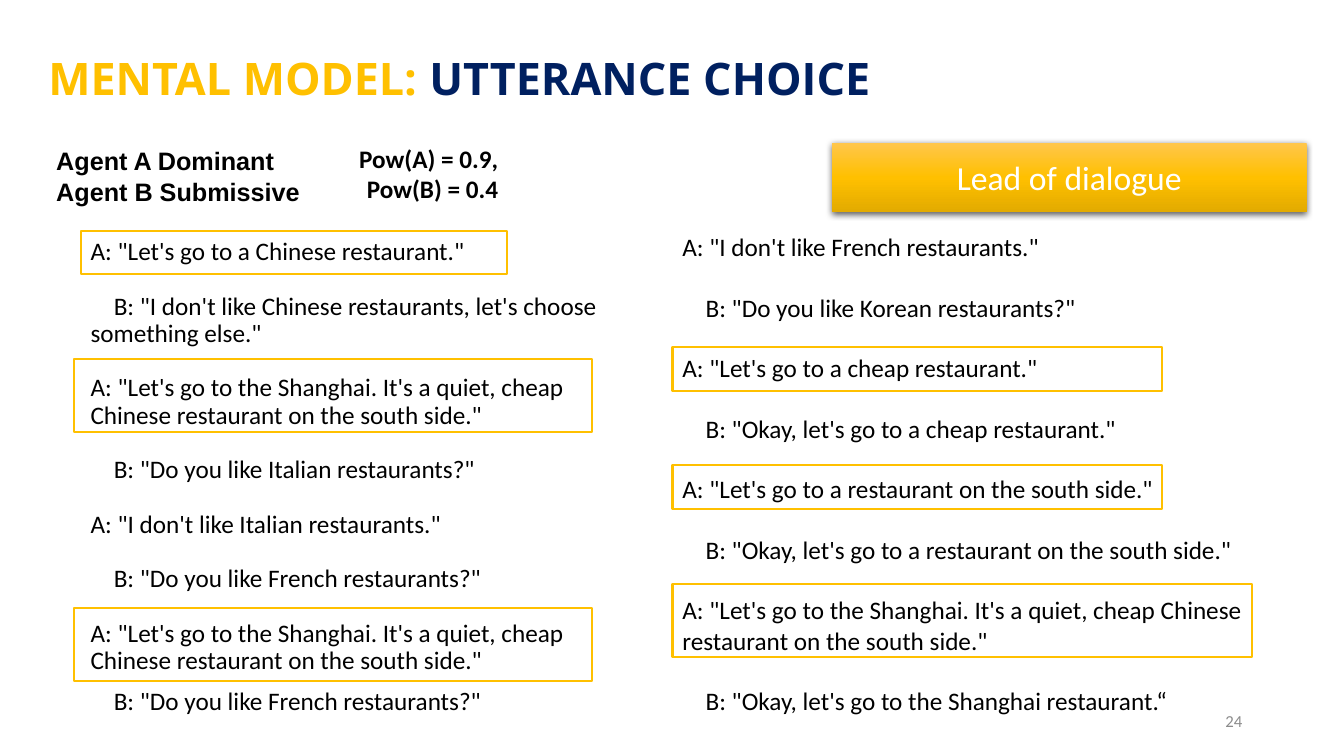
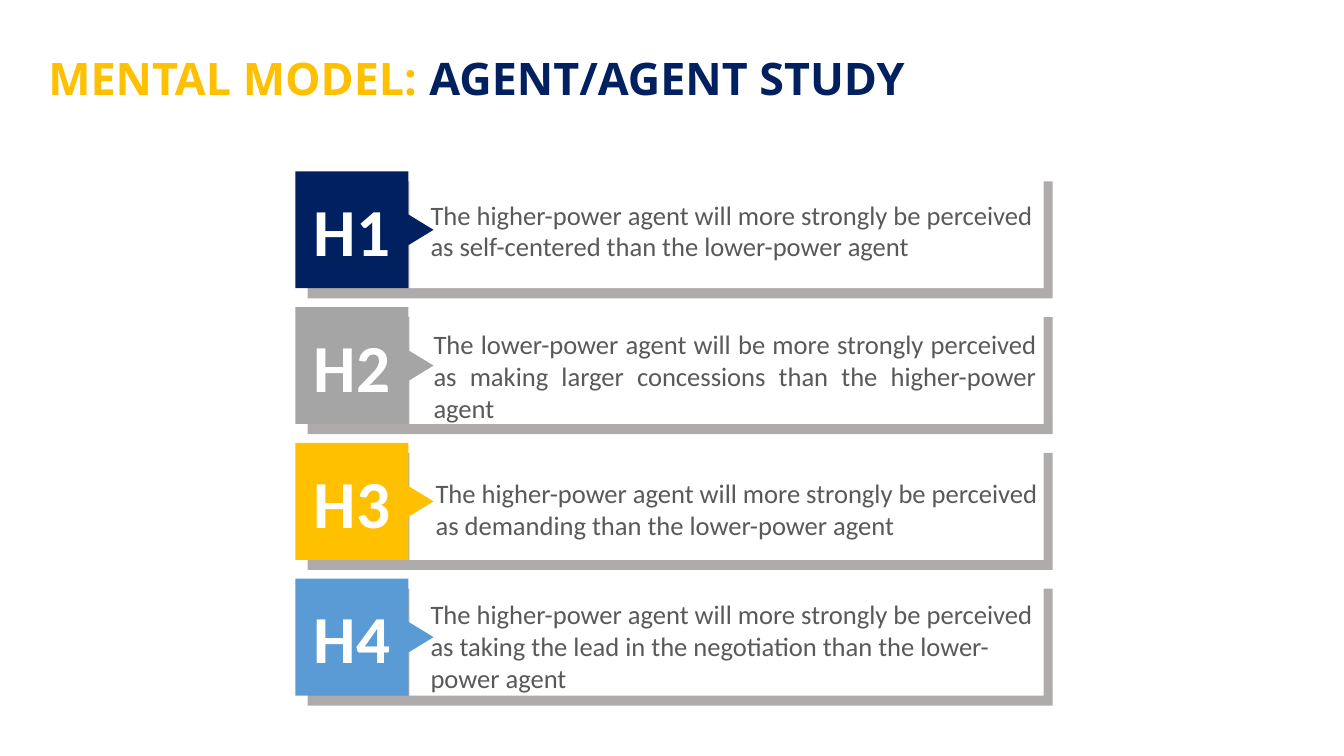
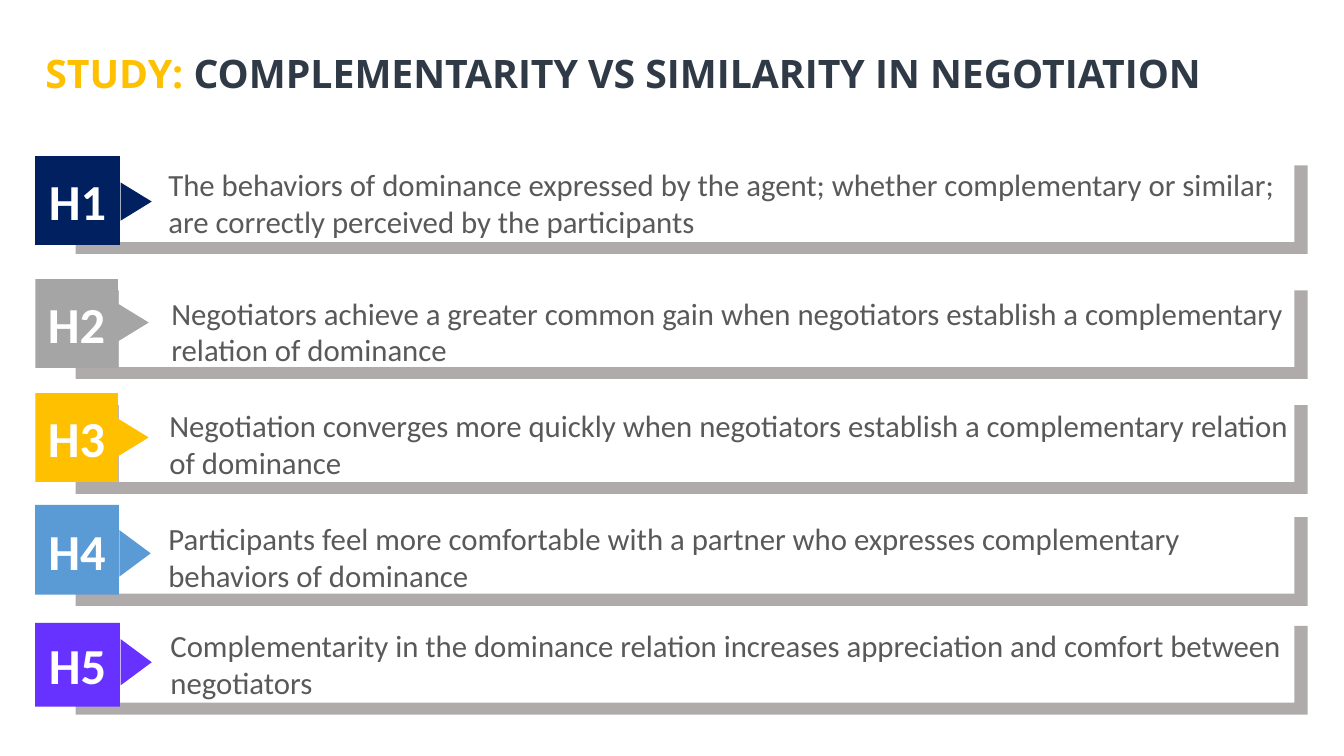
import copy

import pptx
import pptx.chart.data
import pptx.dml.color
import pptx.enum.shapes
import pptx.enum.text
import pptx.oxml
import pptx.oxml.ns
import pptx.util

Inches = pptx.util.Inches
Pt = pptx.util.Pt
RGBColor = pptx.dml.color.RGBColor
Align = pptx.enum.text.PP_ALIGN
Anchor = pptx.enum.text.MSO_ANCHOR
Shape = pptx.enum.shapes.MSO_SHAPE
qn = pptx.oxml.ns.qn

GOLD = RGBColor(0xFF, 0xC0, 0x00)
LIGHT_GOLD = RGBColor(0xFF, 0xC6, 0x4B)
DARK_GOLD = RGBColor(0xE3, 0xAB, 0x00)
NAVY = RGBColor(0x00, 0x20, 0x60)
SLATE = RGBColor(0x2F, 0x3A, 0x46)
GRAY = RGBColor(0xA5, 0xA5, 0xA5)
SHADE = RGBColor(0xAF, 0xAB, 0xAB)
BLUE = RGBColor(0x5B, 0x9B, 0xD5)
PURPLE = RGBColor(0x67, 0x31, 0xFF)
BODY_GRAY = RGBColor(0x59, 0x59, 0x59)
PAGE_GRAY = RGBColor(0x8C, 0x8C, 0x8C)
BLACK = RGBColor(0x00, 0x00, 0x00)
WHITE = RGBColor(0xFF, 0xFF, 0xFF)

TITLE_FONT = "Open Sans"
LABEL_COLORS = [NAVY, GRAY, GOLD, BLUE, PURPLE]

LEFT_DIALOGUE = """
A: "Let's go to a Chinese restaurant."
B: "I don't like Chinese restaurants, let's choose something else."
A: "Let's go to the Shanghai. It's a quiet, cheap Chinese restaurant on the south side."
B: "Do you like Italian restaurants?"
A: "I don't like Italian restaurants."
B: "Do you like French restaurants?"
A: "Let's go to the Shanghai. It's a quiet, cheap Chinese restaurant on the south side."
B: "Do you like French restaurants?"
""".strip().splitlines()

RIGHT_DIALOGUE = """
A: "I don't like French restaurants."
B: "Do you like Korean restaurants?"
A: "Let's go to a cheap restaurant."
B: "Okay, let's go to a cheap restaurant."
A: "Let's go to a restaurant on the south side."
B: "Okay, let's go to a restaurant on the south side."
A: "Let's go to the Shanghai. It's a quiet, cheap Chinese restaurant on the south side."
B: "Okay, let's go to the Shanghai restaurant.“
""".strip().splitlines()

LEAD_BOXES = [
    (0.8, 2.29, 4.23, 0.43),
    (0.73, 3.56, 5.14, 0.73),
    (0.73, 6.03, 5.14, 0.73),
    (6.67, 3.44, 4.86, 0.44),
    (6.67, 4.61, 4.86, 0.44),
    (6.67, 5.79, 5.75, 0.73),
]

AGENT_HYPOTHESES = [
    ("The higher-power agent will more strongly be perceived as self-centered "
     "than the lower-power agent", 4.27, 0.22, Align.LEFT),
    ("The lower-power agent will be more strongly perceived as making larger "
     "concessions than the higher-power agent", 4.3, 0.16, Align.JUSTIFY),
    ("The higher-power agent will more strongly be perceived as demanding "
     "than the lower-power agent", 4.32, 0.29, Align.LEFT),
    ("The higher-power agent will more strongly be perceived as taking the lead "
     "in the negotiation than the lower-power agent", 4.27, 0.14, Align.LEFT),
]

NEGOTIATION_HYPOTHESES = [
    ("The behaviors of dominance expressed by the agent; whether complementary or "
     "similar; are correctly perceived by the participants",
     1.52, (1.55, 0.84, 0.88), (1.35, 2.0, 0.38), (1.67, 1.6)),
    ("Negotiators achieve a greater common gain when negotiators establish a "
     "complementary relation of dominance",
     2.76, (2.77, 0.82, 0.88), (1.32, 3.2, 0.38), (1.7, 2.87)),
    ("Negotiation converges more quickly when negotiators establish a "
     "complementary relation of dominance",
     3.9, (3.9, 0.82, 0.88), (1.32, 4.34, 0.38), (1.68, 3.99)),
    ("Participants feel more comfortable with a partner who expresses "
     "complementary behaviors of dominance",
     5.01, (5.01, 0.83, 0.89), (1.34, 5.49, 0.46), (1.67, 5.11)),
    ("Complementarity in the dominance relation increases appreciation and "
     "comfort between negotiators",
     6.09, (6.18, 0.84, 0.83), (1.35, 6.57, 0.46), (1.69, 6.17)),
]


def write_text(paragraph, text, size=18, color=BLACK, font="Calibri", bold=False,
               align=Align.LEFT, line_spacing=1.0, before=0):
    paragraph.alignment = align
    paragraph.line_spacing = line_spacing
    paragraph.space_before = Pt(before)
    run = paragraph.add_run()
    run.text = text
    run.font.size = Pt(size)
    run.font.color.rgb = color
    run.font.name = font
    run.font.bold = bold


def set_frame(text_frame, anchor=Anchor.TOP, side_inset=0.1):
    text_frame.word_wrap = True
    text_frame.auto_size = pptx.enum.text.MSO_AUTO_SIZE.NONE
    text_frame.vertical_anchor = anchor
    text_frame.margin_left = text_frame.margin_right = Inches(side_inset)
    text_frame.margin_top = text_frame.margin_bottom = Inches(0.05)


def add_text(slide, box, lines, anchor=Anchor.TOP, side_inset=0.1, **text_format):
    text_box = slide.shapes.add_textbox(*map(Inches, box))
    text_frame = text_box.text_frame
    set_frame(text_frame, anchor, side_inset)
    for index, line in enumerate(lines):
        paragraph = text_frame.add_paragraph() if index else text_frame.paragraphs[0]
        write_text(paragraph, line, **text_format)
    return text_frame


def add_block(slide, box, fill=None, line=None, kind=Shape.RECTANGLE):
    shape = slide.shapes.add_shape(kind, *map(Inches, box))
    shape.shadow.inherit = False
    if fill is None:
        shape.fill.background()
    else:
        shape.fill.solid()
        shape.fill.fore_color.rgb = fill
    if line is None:
        shape.line.fill.background()
    else:
        shape.line.color.rgb = line
        shape.line.width = Pt(1.5)
    return shape


def add_label(shape, text, **text_format):
    set_frame(shape.text_frame, Anchor.MIDDLE, 0)
    write_text(shape.text_frame.paragraphs[0], text, color=WHITE,
               align=Align.CENTER, **text_format)


def add_titled_slide(presentation, lead, rest, box=(0.38, 0.22, 11.5, 1.16),
                     size=32, color=NAVY):
    slide = presentation.slides.add_slide(presentation.slide_layouts[5])
    title = slide.shapes.title
    title.left, title.top, title.width, title.height = map(Inches, box)
    set_frame(title.text_frame, Anchor.MIDDLE)
    for text, run_color in ((lead, GOLD), (rest, color)):
        write_text(title.text_frame.paragraphs[0], text, size=size, color=run_color,
                   font=TITLE_FONT, bold=True, line_spacing=0.9)
    return slide


def add_dialogue(slide, box, lines, gap, line_spacing):
    text_frame = add_text(slide, box, lines, line_spacing=line_spacing, before=gap)
    text_frame.paragraphs[0].space_before = Pt(0)
    for paragraph in text_frame.paragraphs:
        if paragraph.text.startswith("B"):
            properties = paragraph._p.get_or_add_pPr()
            properties.set("marL", "0")
            properties.set("indent", str(Inches(0.23)))
    return text_frame


def add_banner(slide, box, text):
    banner = add_block(slide, box)
    banner.fill.gradient()
    banner.fill.gradient_angle = 270
    properties = banner._element.spPr
    stop_list = properties.find(qn("a:gradFill")).find(qn("a:gsLst"))
    stop_list.insert(1, copy.deepcopy(stop_list[0]))
    colors = (LIGHT_GOLD, GOLD, DARK_GOLD)
    for index, stop in enumerate(banner.fill.gradient_stops):
        stop.color.rgb = colors[index]
        stop.position = index / 2
    properties.find(qn("a:effectLst")).append(pptx.oxml.parse_xml(
        f'<a:outerShdw {pptx.oxml.ns.nsdecls("a")} blurRad="{Pt(4.5)}" '
        f'dist="{Pt(1.5)}" dir="5400000" algn="ctr" rotWithShape="0">'
        '<a:srgbClr val="000000"><a:alpha val="63000"/></a:srgbClr></a:outerShdw>'))
    add_label(banner, text, size=24)


def add_hypothesis(slide, number, text, shade_box, panel_box, label_box, arrow,
                   text_box, label_size, text_size, align=Align.LEFT):
    color = LABEL_COLORS[number - 1]
    add_block(slide, shade_box, SHADE)
    add_block(slide, panel_box, WHITE)
    label = add_block(slide, label_box, color)
    add_label(label, f"H{number}", size=label_size, bold=True)
    center, middle, base, depth = arrow
    pointer = add_block(slide, (center - base / 2, middle - depth / 2, base, depth),
                        color, kind=Shape.ISOSCELES_TRIANGLE)
    pointer.rotation = 90
    add_text(slide, text_box, [text], side_inset=0, size=text_size,
             color=BODY_GRAY, align=align)


def build_utterance_slide(presentation):
    slide = add_titled_slide(presentation, "MENTAL MODEL: ", "UTTERANCE CHOICE")
    add_text(slide, (9.42, 6.95, 3, 0.4), ["24"], anchor=Anchor.MIDDLE,
             size=12, color=PAGE_GRAY, align=Align.RIGHT)
    add_banner(slide, (8.25, 1.42, 4.71, 0.68), "Lead of dialogue")
    add_text(slide, (3.29, 1.42, 1.75, 0.6), ["Pow(A) = 0.9,", "Pow(B) = 0.4"],
             anchor=Anchor.MIDDLE, bold=True, align=Align.RIGHT)
    add_text(slide, (0.46, 1.47, 2.8, 0.55), ["Agent A Dominant", "Agent B Submissive"],
             anchor=Anchor.MIDDLE, font="Arial", bold=True)
    left = add_dialogue(slide, (0.8, 2.32, 5.31, 5.11), LEFT_DIALOGUE, 19.5, 0.9)
    left.paragraphs[-1].space_before = Pt(10)
    add_dialogue(slide, (6.67, 2.25, 6.26, 5.25), RIGHT_DIALOGUE, 21.6, 1.0)
    for box in LEAD_BOXES:
        add_block(slide, box, line=GOLD)


def build_agent_study_slide(presentation):
    slide = add_titled_slide(presentation, "MENTAL MODEL: ", "AGENT/AGENT STUDY")
    height = 1.16
    for index, (text, text_left, text_drop, align) in enumerate(AGENT_HYPOTHESES):
        top = 1.7 + 1.347 * index
        add_hypothesis(
            slide, index + 1, text,
            shade_box=(3.05, top + 0.1, 7.39, height),
            panel_box=(4.06, top, 6.29, height),
            label_box=(2.93, top, 1.12, height),
            arrow=(4.14, top + height / 2, 0.39, 0.32),
            text_box=(text_left, top + text_drop, 5.98, 1.06),
            label_size=48, text_size=19, align=align)


def build_negotiation_slide(presentation):
    slide = add_titled_slide(presentation, "STUDY:",
                             " COMPLEMENTARITY VS SIMILARITY IN NEGOTIATION",
                             box=(0.35, 0.17, 12.98, 1.16), size=28, color=SLATE)
    for number, (text, top, label, arrow, text_start) in enumerate(
            NEGOTIATION_HYPOTHESES, start=1):
        label_top, label_width, label_height = label
        add_hypothesis(
            slide, number, text,
            shade_box=(0.75, top + 0.12, 12.22, 0.88),
            panel_box=(1.18, top, 11.66, 0.88),
            label_box=(0.35, label_top, label_width, label_height),
            arrow=(*arrow, 0.31),
            text_box=(*text_start, 11.1, 0.84),
            label_size=36, text_size=22)


def main():
    presentation = pptx.Presentation()
    presentation.slide_width = Inches(13.33)
    presentation.slide_height = Inches(7.5)
    build_utterance_slide(presentation)
    build_agent_study_slide(presentation)
    build_negotiation_slide(presentation)
    presentation.save("out.pptx")


if __name__ == "__main__":
    main()
